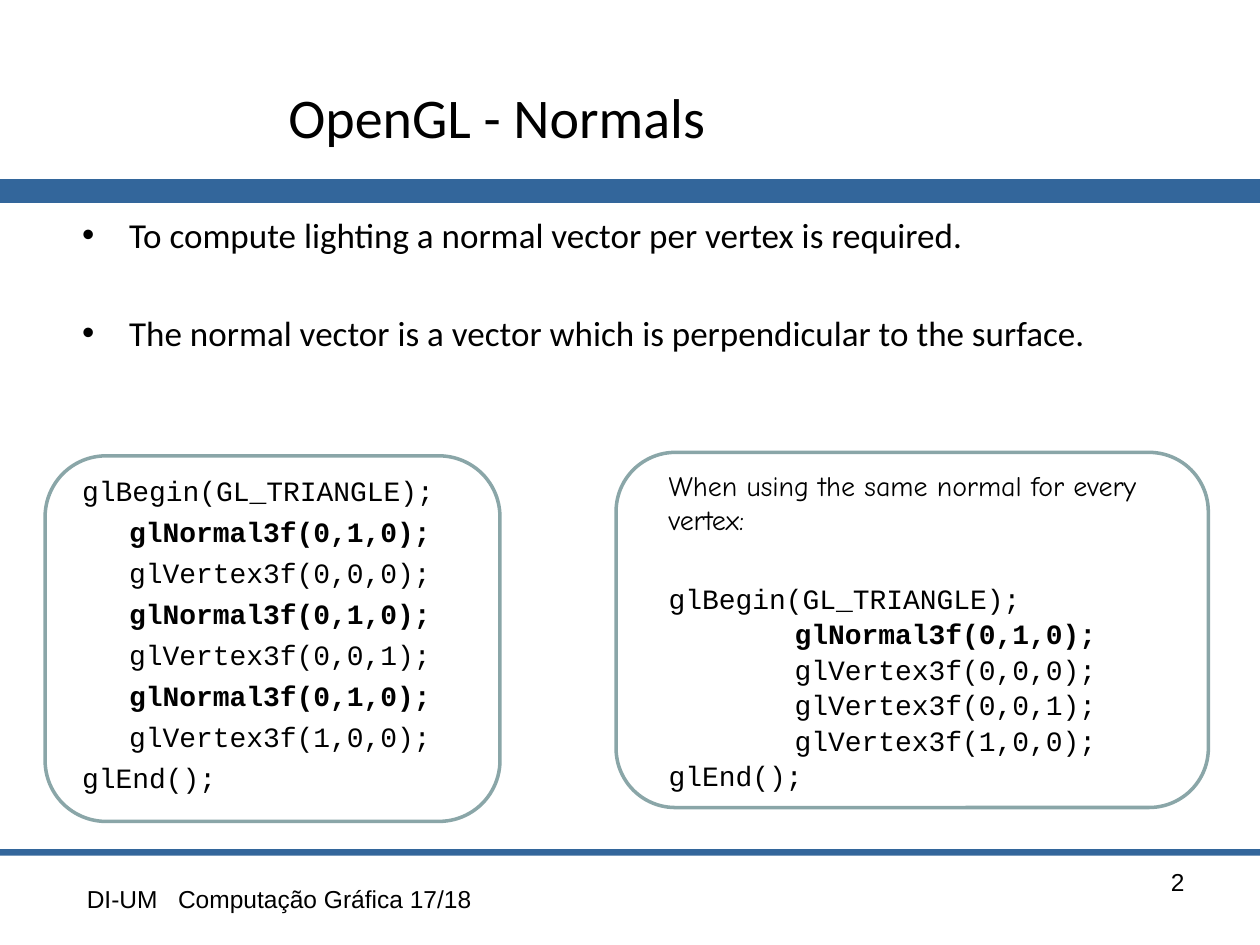
from dataclasses import dataclass
from typing import Any

import pptx
import pptx.dml.color
import pptx.enum.shapes
import pptx.enum.text
import pptx.oxml.ns
import pptx.util
from lxml import etree

Cm = pptx.util.Cm
Pt = pptx.util.Pt
ALIGN = pptx.enum.text.PP_ALIGN
SHAPE = pptx.enum.shapes.MSO_SHAPE
BLACK, BLUE, SAGE = "000000", "33669B", "8AA6A8"


@dataclass(frozen=True)
class Place:
    left: float
    top: float
    width: float
    height: float

    def lengths(self) -> list[int]:
        return [Cm(value) for value in (self.left, self.top, self.width, self.height)]


@dataclass(frozen=True)
class Line:
    text: str
    size: float = 16
    face: str = "Courier New"
    bold: bool = False
    margin: float = 0
    hanging: float = 0
    before: float = 0
    bullet: str = ""
    align: Any = ALIGN.LEFT


def apply(target: Any, values: dict[str, Any]) -> None:
    for name, value in values.items():
        setattr(target, name, value)


def paint(color_format: Any, color: str) -> None:
    color_format.rgb = pptx.dml.color.RGBColor.from_string(color)


def write(box: Any, lines: list[Line], anchor: Any = pptx.enum.text.MSO_ANCHOR.TOP) -> None:
    frame = box.text_frame
    apply(frame, {"word_wrap": True, "vertical_anchor": anchor,
                  "auto_size": pptx.enum.text.MSO_AUTO_SIZE.NONE})
    for index, line in enumerate(lines):
        para = frame.add_paragraph() if index else frame.paragraphs[0]
        apply(para, {"alignment": line.align, "space_before": Pt(line.before)})
        properties = para._p.get_or_add_pPr()
        properties.set("marL", str(Cm(line.margin)))
        properties.set("indent", str(-Cm(line.hanging)))
        tag = "a:buChar" if line.bullet else "a:buNone"
        mark = etree.SubElement(properties, pptx.oxml.ns.qn(tag))
        if line.bullet:
            mark.set("char", line.bullet)
        span = para.add_run()
        span.text = line.text
        apply(span.font, {"size": Pt(line.size), "name": line.face, "bold": line.bold})
        paint(span.font.color, BLACK)


def add_text(shapes: Any, place: Place, lines: list[Line]) -> None:
    write(shapes.add_textbox(*place.lengths()), lines)


def add_bar(shapes: Any, place: Place) -> None:
    bar = shapes.add_shape(SHAPE.RECTANGLE, *place.lengths())
    bar.shadow.inherit = False
    bar.fill.solid()
    paint(bar.fill.fore_color, BLUE)
    bar.line.fill.background()


def add_frame(shapes: Any, place: Place) -> None:
    frame = shapes.add_shape(SHAPE.ROUNDED_RECTANGLE, *place.lengths())
    frame.shadow.inherit = False
    frame.fill.background()
    paint(frame.line.color, SAGE)
    frame.line.width = Pt(2)


def code(calls: list[str], margin: float, before: float, gap: float) -> list[Line]:
    inner = [Line(call, margin=margin, before=before, bold=call.startswith("glNormal"))
             for call in calls]
    return [Line("glBegin(GL_TRIANGLE);", before=gap), *inner, Line("glEnd();", before=before)]


def point(text: str, before: float) -> Line:
    return Line(text, 20, "Calibri", margin=0.95, hanging=0.95, before=before, bullet="•")


NORMAL = "glNormal3f(0,1,0);"
VERTICES = [f"glVertex3f({corner});" for corner in ("0,0,0", "0,0,1", "1,0,0")]

deck = pptx.Presentation()
apply(deck, {"slide_width": Cm(25.4), "slide_height": Cm(19.05)})
page = deck.slides.add_slide(deck.slide_layouts[1])
title, body = page.placeholders
for box, place in ((title, Place(5.56, 0.76, 18.57, 3.18)),
                   (body, Place(1.4, 4.17, 22.86, 12.57))):
    apply(box, dict(zip(("left", "top", "width", "height"), place.lengths())))

for place in (Place(0, 3.61, 25.4, 0.48), Place(0, 17.12, 25.4, 0.13)):
    add_bar(page.shapes, place)

write(title, [Line("OpenGL - Normals", 32, "Calibri")], pptx.enum.text.MSO_ANCHOR.MIDDLE)
write(body, [
    point("To compute lighting a normal vector per vertex is required.", 0),
    point("The normal vector is a vector which is perpendicular to the surface.", 32),
    *code([call for vertex in VERTICES for call in (NORMAL, vertex)], 0.95, 4.2, 69),
])

shared_normal = page.shapes.add_group_shape().shapes
add_text(shared_normal, Place(13.23, 9.32, 10.57, 6.58), [
    Line("When using the same normal for every vertex:", face="Comic Neue"),
    *code([NORMAL, *VERTICES], 2.54, 1.1, 26),
])
add_frame(shared_normal, Place(12.42, 9.12, 11.94, 7.16))
add_frame(page.shapes, Place(0.91, 9.19, 9.17, 7.37))

for text, place, align in (
    ("DI-UM", Place(1.5, 17.7, 2.2, 1.32), ALIGN.LEFT),
    ("Computação Gráfica 17/18", Place(3.34, 17.7, 13.37, 1.32), ALIGN.LEFT),
    ("2", Place(18.21, 17.35, 5.92, 1.32), ALIGN.RIGHT),
):
    add_text(page.shapes, place, [Line(text, 14, "Arial", align=align)])

deck.save("out.pptx")
